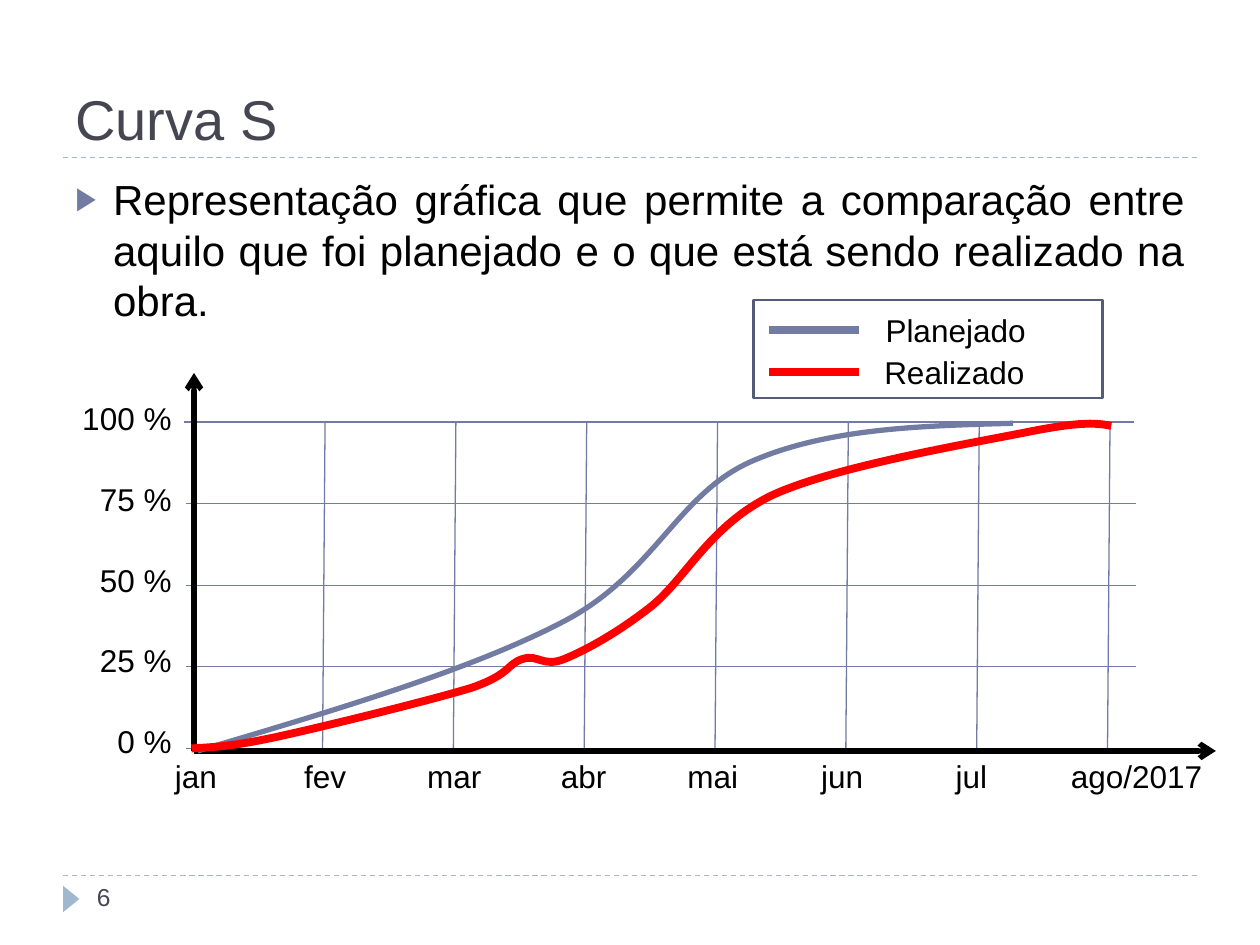
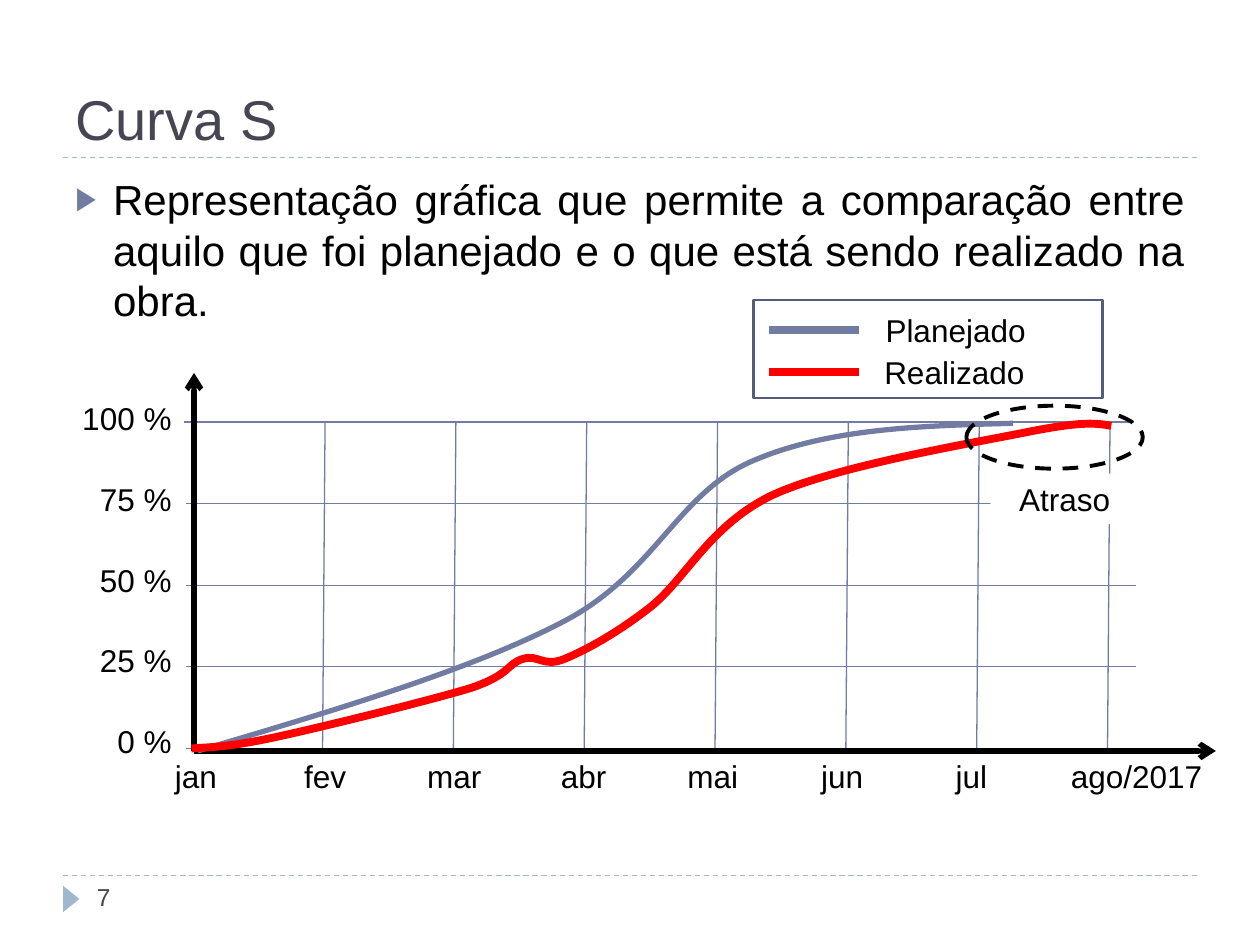
from lxml import etree
from pptx import Presentation
from pptx.dml.color import RGBColor
from pptx.enum.dml import MSO_LINE_DASH_STYLE as Dash
from pptx.enum.shapes import MSO_CONNECTOR, MSO_SHAPE
from pptx.enum.text import MSO_ANCHOR as Anchor, MSO_AUTO_SIZE as AutoSize, PP_ALIGN as Align
from pptx.oxml.ns import qn
from pptx.util import Inches, Pt

# Shared look
FONT = "Arial"
BLACK, WHITE, RED = "000000", "FFFFFF", "FF0000"
SLATE, BLUE, PALE, FRAME = "464653", "727CA3", "9FB8CD", "545C79"

# Content
TITLE = "Curva S"
DEFINITION = ("Representação gráfica que permite a comparação entre aquilo que "
              "foi planejado e o que está sendo realizado na obra.")
MONTHS = ["jan", "fev", "mar", "abr", "mai", "jun", "jul", "ago/2017"]
PERCENTS = ["100 %", "75 %", "50 %", "25 %", "0 %"]

# Curves: a start point, then triples of Bezier control points
PLANNED = [(1.57, 5.96),
           (2.65, 5.64), (3.73, 5.32), (4.46, 4.94),
           (5.2, 4.56), (5.37, 3.92), (5.97, 3.66),
           (6.57, 3.4), (7.31, 3.38), (8.04, 3.36)]
ACTUAL = [(1.52, 5.94),
          (1.67, 5.93), (1.82, 5.93), (2.19, 5.85),
          (2.56, 5.77), (3.41, 5.56), (3.74, 5.46),
          (4.06, 5.35), (4.02, 5.27), (4.15, 5.23),
          (4.27, 5.19), (4.31, 5.3), (4.48, 5.23),
          (4.65, 5.16), (4.89, 5.03), (5.16, 4.82),
          (5.44, 4.6), (5.63, 4.17), (6.13, 3.93),
          (6.63, 3.7), (7.7, 3.52), (8.15, 3.43),
          (8.6, 3.34), (8.71, 3.36), (8.82, 3.38)]


def color(value):
    return RGBColor.from_string(value)


def style_line(line, value, width, dash=None):
    line.color.rgb = color(value)
    line.width = Pt(width)
    if dash:
        line.dash_style = dash


def add_line(shapes, start, end, value, width, dash=None, arrow=False):
    connector = shapes.add_connector(
        MSO_CONNECTOR.STRAIGHT, *[Inches(n) for n in (*start, *end)])
    style_line(connector.line, value, width, dash)
    if arrow:
        etree.SubElement(connector.line._get_or_add_ln(), qn("a:tailEnd"), type="arrow")
    etree.SubElement(connector._element.spPr, qn("a:effectLst"))


def add_box(shapes, kind, at, fill=None):
    box = shapes.add_shape(kind, *[Inches(n) for n in at])
    box.shadow.inherit = False
    if fill:
        box.fill.solid()
        box.fill.fore_color.rgb = color(fill)
    else:
        box.fill.background()
    box.line.fill.background()
    return box


def write(box, text, size, value=BLACK, align=Align.LEFT, anchor=Anchor.TOP):
    frame = box.text_frame
    frame.word_wrap = True
    frame.vertical_anchor = anchor
    frame.text = text
    para = frame.paragraphs[0]
    para.alignment = align
    font = para.runs[0].font
    font.name, font.size = FONT, Pt(size)
    font.color.rgb = color(value)
    return para


def add_text(shapes, at, text, size, value=BLACK, align=Align.LEFT, anchor=Anchor.TOP):
    box = shapes.add_textbox(*[Inches(n) for n in at])
    write(box, text, size, value, align, anchor)
    return box


def add_label(shapes, left, top, width, text, align):
    box = add_text(shapes, (left, top, width, 0.4), text, 18, align=align)
    box.text_frame.auto_size = AutoSize.SHAPE_TO_FIT_TEXT


def add_bullet(para):
    props = para._p.get_or_add_pPr()
    props.set("marL", str(Inches(0.3)))
    props.set("indent", str(Inches(-0.3)))
    tint = etree.SubElement(props, qn("a:buClr"))
    etree.SubElement(tint, qn("a:srgbClr"), val=BLUE)
    etree.SubElement(props, qn("a:buSzPct"), val="76000")
    etree.SubElement(props, qn("a:buFont"), typeface=FONT)
    etree.SubElement(props, qn("a:buChar"), char="▶")


def add_curve(shapes, points, value, width):
    start, *controls = [(Inches(x), Inches(y)) for x, y in points]
    builder = shapes.build_freeform(*start)
    builder.add_line_segments(controls, close=False)
    curve = builder.convert_to_shape()
    # Turn every three straight steps into one cubic segment
    steps = list(curve._element.iter(qn("a:lnTo")))
    outline = steps[0].getparent()
    for first in range(0, len(steps), 3):
        cubic = etree.SubElement(outline, qn("a:cubicBezTo"))
        for step in steps[first:first + 3]:
            cubic.append(step[0])
            outline.remove(step)
    curve.shadow.inherit = False
    curve.fill.background()
    style_line(curve.line, value, width)


def add_frame(shapes, number):
    # Dashed rules, page marker, title and definition
    for y in (6.95, 1.25):
        add_line(shapes, (0.5, y), (9.5, y), PALE, 0.75, Dash.DASH)
    marker = add_box(shapes, MSO_SHAPE.ISOSCELES_TRIANGLE, (0.46, 7.07, 0.21, 0.13), PALE)
    marker.rotation = 90
    add_text(shapes, (0.67, 6.95, 2.17, 0.4), str(number), 14, SLATE)
    add_text(shapes, (0.5, 0.17, 9, 1.08), TITLE, 32, SLATE, anchor=Anchor.BOTTOM)
    body = add_text(shapes, (0.5, 1.33, 9, 5.4), DEFINITION, 24, align=Align.JUSTIFY)
    para = body.text_frame.paragraphs[0]
    para.space_before = Pt(6)
    add_bullet(para)


def add_grid(shapes):
    month_gap = (8.79 - 2.56) / 6
    for column in range(len(MONTHS) - 1):
        x = 2.56 + month_gap * column
        add_line(shapes, (x, 5.95), (x + 0.02, 3.35), BLUE, 0.75)
    row_gap = (5.94 - 3.35) / 4
    for row in range(len(PERCENTS)):
        y = 3.35 + row_gap * row
        shift = 0 if row else -0.02
        add_line(shapes, (1.48 + shift, y), (9.02 + shift, y), BLUE, 0.75)


def add_axes(shapes):
    for row, percent in enumerate(PERCENTS):
        add_label(shapes, 0.28, 3.12 + 0.64 * row, 1.18, percent, Align.RIGHT)
    month_gap = (8.3 - 1.12) / (len(MONTHS) - 1)
    for index, month in enumerate(MONTHS):
        width = 1.44 if month == MONTHS[-1] else 0.87
        add_label(shapes, 1.12 + month_gap * index, 5.96, width, month, Align.CENTER)
    for end in ((9.65, 5.96), (1.54, 2.96)):
        add_line(shapes, (1.54, 5.96), end, BLACK, 3, arrow=True)


def add_legend(shapes):
    panel = add_box(shapes, MSO_SHAPE.RECTANGLE, (5.98, 2.38, 2.77, 0.78), WHITE)
    style_line(panel.line, FRAME, 1.5)
    for name, value, left, y in (("Planejado", BLUE, 6.93, 2.62),
                                 ("Realizado", RED, 6.92, 2.95)):
        add_line(shapes, (6.1, y), (6.82, y), value, 4.5)
        add_label(shapes, left, y - 0.2, 1.97, name, Align.LEFT)


def add_delay_note(shapes):
    ring = add_box(shapes, MSO_SHAPE.OVAL, (7.67, 3.22, 1.4, 0.5))
    style_line(ring.line, BLACK, 2.25, Dash.DASH)
    note = add_box(shapes, MSO_SHAPE.RECTANGLE, (7.86, 3.76, 1.18, 0.4), WHITE)
    write(note, "Atraso", 18, align=Align.CENTER)
    note.text_frame.auto_size = AutoSize.SHAPE_TO_FIT_TEXT


def add_page(deck, number):
    shapes = deck.slides.add_slide(deck.slide_layouts[6]).shapes
    add_frame(shapes, number)
    add_grid(shapes.add_group_shape().shapes)
    add_axes(shapes.add_group_shape().shapes)
    add_curve(shapes, PLANNED, BLUE, 3)
    add_curve(shapes, ACTUAL, RED, 4.5)
    add_legend(shapes.add_group_shape().shapes)
    return shapes


def main():
    deck = Presentation()
    deck.slide_width, deck.slide_height = Inches(10), Inches(7.5)
    add_page(deck, 6)
    add_delay_note(add_page(deck, 7))
    deck.save("out.pptx")


main()
